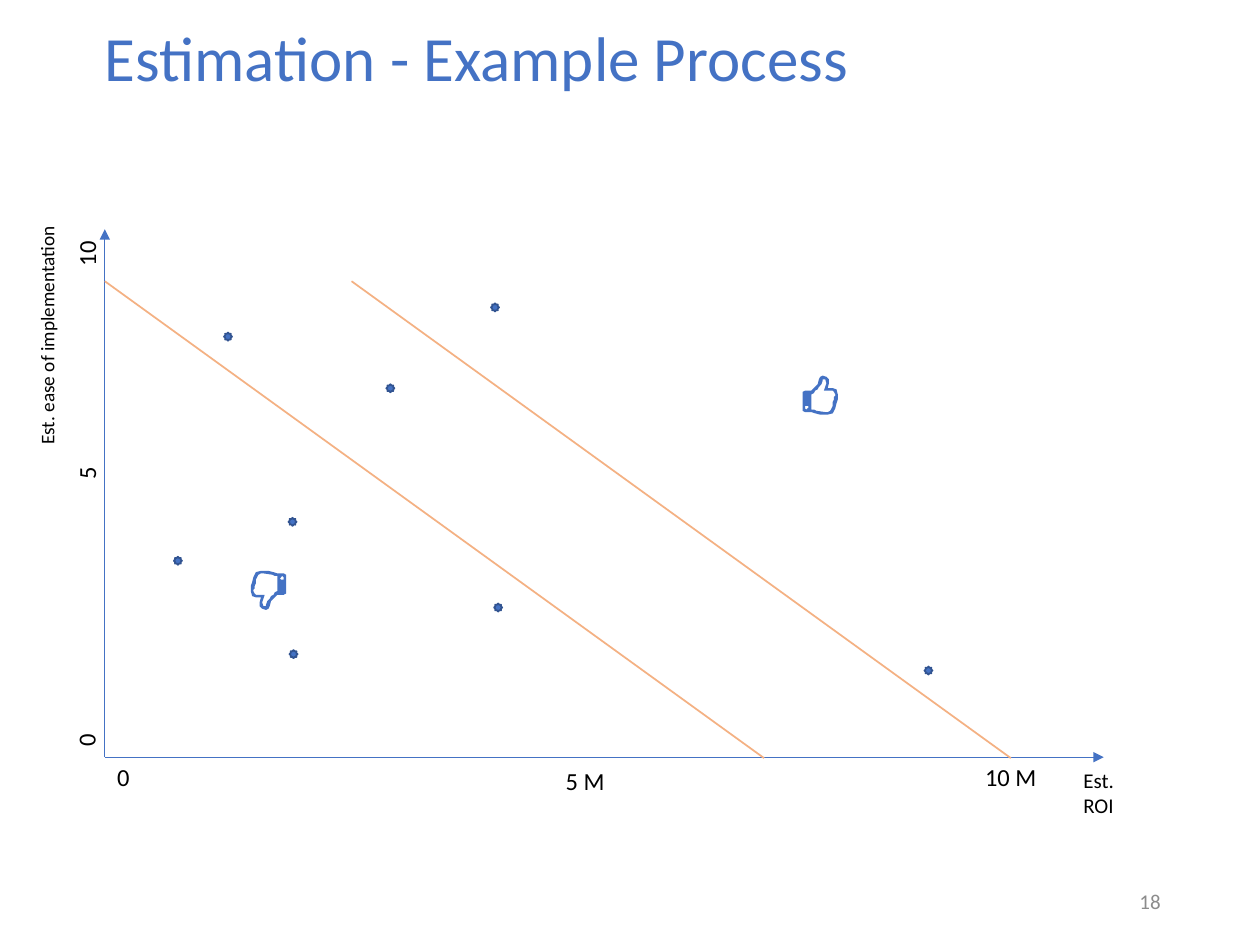
from lxml import etree
from pptx import Presentation
from pptx.dml.color import RGBColor
from pptx.enum.shapes import MSO_CONNECTOR, MSO_SHAPE
from pptx.enum.text import MSO_ANCHOR, PP_ALIGN
from pptx.oxml.ns import qn
from pptx.util import Pt

STRAIGHT = MSO_CONNECTOR.STRAIGHT
STAR = MSO_SHAPE.STAR_8_POINT
MIDDLE = MSO_ANCHOR.MIDDLE
RIGHT = PP_ALIGN.RIGHT

BLUE = RGBColor(0x44, 0x72, 0xC4)
DARK_BLUE = RGBColor(0x32, 0x54, 0x91)
ORANGE = RGBColor(0xF4, 0xB1, 0x83)
GRAY = RGBColor(0x8C, 0x8C, 0x8C)
BLACK = RGBColor(0, 0, 0)

ORIGIN_X, ORIGIN_Y = 59.9, 432.7
STAR_SIZE = 4.6

presentation = Presentation()
presentation.slide_width = Pt(720)
presentation.slide_height = Pt(540)
slide = presentation.slides.add_slide(presentation.slide_layouts[6])
shapes = slide.shapes


def add_text(text, left, top, width, height, size, color=BLACK, rotation=0, wrap=False):
    box = shapes.add_textbox(Pt(left), Pt(top), Pt(width), Pt(height))
    box.rotation = rotation
    text_frame = box.text_frame
    text_frame.word_wrap = wrap
    text_frame.text = text
    font = text_frame.paragraphs[0].runs[0].font
    font.name = "Calibri"
    font.size = Pt(size)
    font.color.rgb = color
    return text_frame


def add_line(start, end, color, width, arrow=False):
    line = shapes.add_connector(STRAIGHT, *(Pt(value) for value in (*start, *end)))
    line.line.color.rgb = color
    line.line.width = Pt(width)
    if arrow:
        outline = line.line._get_or_add_ln()
        etree.SubElement(outline, qn("a:tailEnd"), type="triangle")
    etree.SubElement(line._element.spPr, qn("a:effectLst"))


# Title and slide number
number = add_text("18", 508.3, 500.4, 162, 28.8, 12, GRAY, wrap=True)
number.vertical_anchor = MIDDLE
number.paragraphs[0].alignment = RIGHT

title = add_text("Estimation - Example Process", 59.9, 10.8, 430, 69, 36, BLUE, wrap=True)
title.margin_left = title.margin_right = title.margin_top = title.margin_bottom = 0
title.paragraphs[0].space_before = Pt(2)

# Axes and their names
for axis_end in ((630.7, ORIGIN_Y), (ORIGIN_X, 131)):
    add_line((ORIGIN_X, ORIGIN_Y), axis_end, BLUE, 0.5, arrow=True)
add_text("Est. ease of implementation", -43.2, 180.7, 140.4, 20.9, 11, rotation=270)
add_text("Est. ROI", 612, 434.9, 47.5, 36, 12, wrap=True)

# Scale labels
for text, left, top, width, rotation in (
    ("0", 59.9, 432, 21.6, 0),
    ("5 M", 316.1, 434.2, 36.7, 0),
    ("10 M", 555.8, 432, 43.9, 0),
    ("0", 38.6, 410.8, 21.6, 270),
    ("5", 38.9, 257.8, 21.6, 270),
    ("10", 35.3, 132.5, 28.8, 270),
):
    add_text(text, left, top, width, 24.5, 14, rotation=rotation)

# Estimated projects
for left, top in (
    (280.6, 173.4), (164.9, 295.9), (99.4, 318.2), (128, 190.1),
    (282.4, 344.9), (165.5, 371.5), (220.8, 219.6), (528.3, 380.9),
):
    star = shapes.add_shape(STAR, Pt(left), Pt(top), Pt(STAR_SIZE), Pt(STAR_SIZE))
    star.shadow.inherit = False
    star.fill.solid()
    star.fill.fore_color.rgb = BLUE
    star.line.color.rgb = DARK_BLUE
    star.line.width = Pt(1)

# Parallel decision thresholds
for start_x in (200.9, 59.9):
    add_line((start_x, 160.7), (start_x + 376.7, 433.2), ORANGE, 1)

# Thumb outline, inner opening and cuff button, in hundredths of an inch
THUMB_CONTOURS = (
    ((27, 11), (24, 10), (20, 10), (21, 6), (21, 3), (19, 1), (16, 0), (14, 1),
     (13, 3), (12, 7), (10, 9), (7, 12), (2, 12), (0.5, 13), (0, 15), (0, 27),
     (0.5, 28.5), (2, 29), (7, 29), (10, 30), (14, 31), (20, 31), (24, 30),
     (26, 26), (27, 22), (28, 19), (28.5, 15)),
    ((26, 16), (25, 17), (25, 19), (24.5, 21), (24.5, 22), (24, 24), (23, 26),
     (22, 28), (20, 28.8), (18, 28.8), (11, 27.8), (9, 27), (7, 27), (7, 15),
     (9, 14), (10, 12.5), (12, 11), (13, 9), (15, 7), (15.5, 4), (16, 2.7),
     (18, 3.2), (19, 6), (18, 9), (17, 12.4), (24, 12.4), (25.3, 13), (26, 15)),
    ((3.4, 27), (2.5, 26.3), (2.2, 25.3), (2.5, 24.4), (3.4, 24),
     (4.3, 24.4), (4.6, 25.3), (4.3, 26.3)),
)
for left, top, rotation in ((458.6, 214.6, 0), (143.3, 326.2, 180)):
    builder = shapes.build_freeform(*THUMB_CONTOURS[0][0], scale=Pt(0.72))
    for contour in THUMB_CONTOURS:
        if contour is not THUMB_CONTOURS[0]:
            builder.move_to(*contour[0])
        builder.add_line_segments(contour[1:], close=True)
    thumb = builder.convert_to_shape(Pt(left), Pt(top))
    thumb.rotation = rotation
    thumb.shadow.inherit = False
    thumb.fill.solid()
    thumb.fill.fore_color.rgb = BLUE
    thumb.line.fill.background()

presentation.save("out.pptx")
